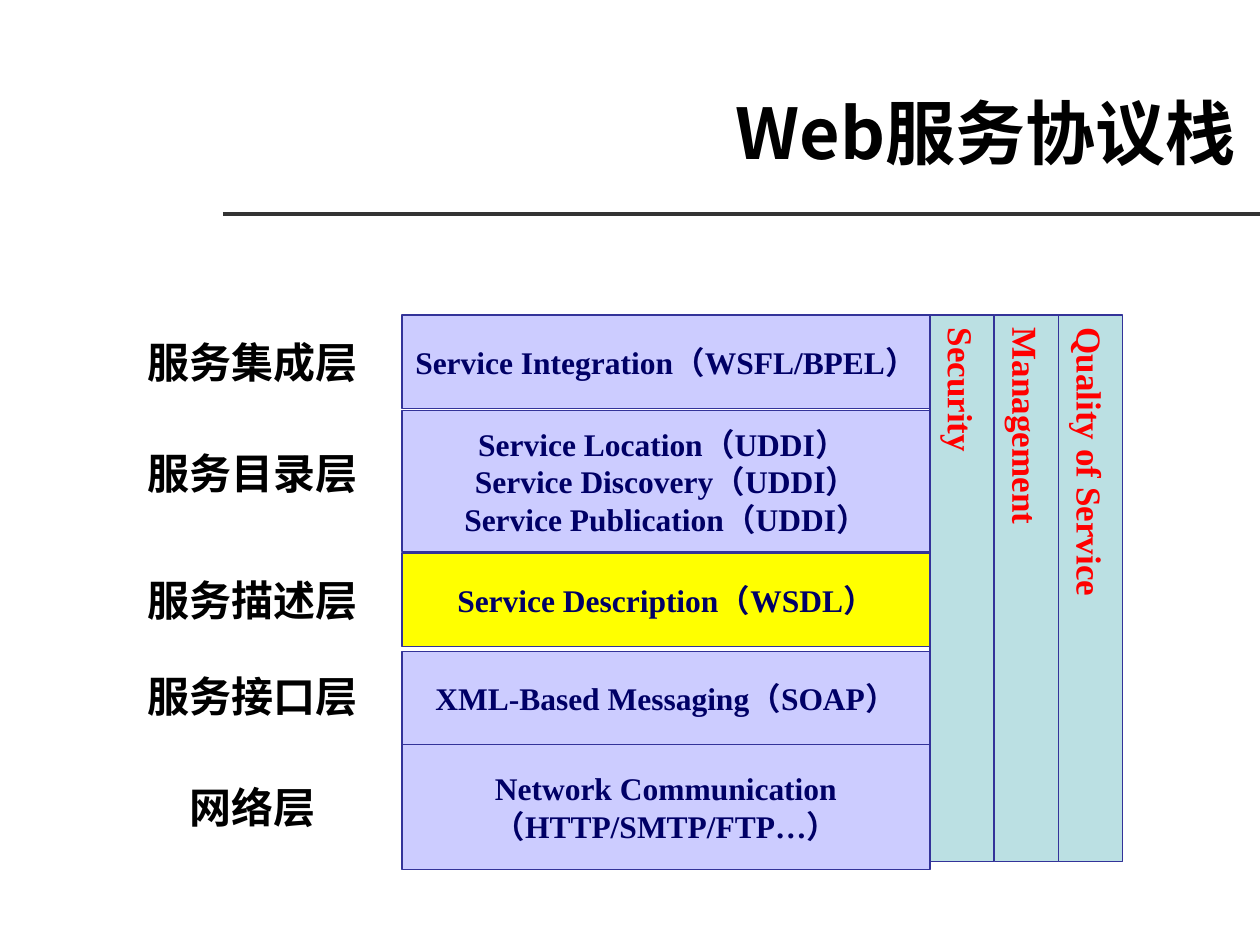
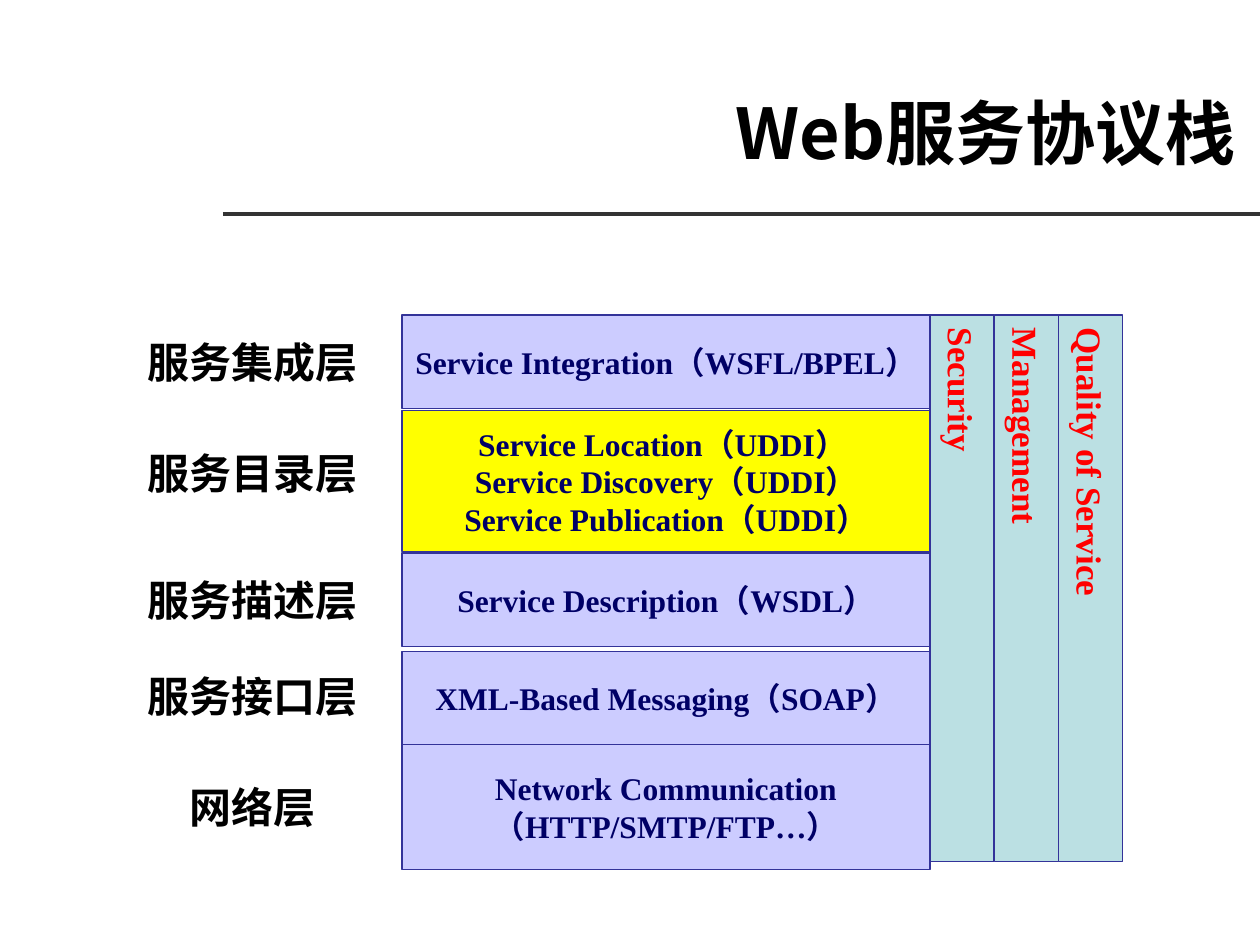
"""Builds two slides of the web service protocol stack, each with one layer highlighted."""
from lxml.etree import SubElement
from pptx import Presentation
from pptx.dml.color import RGBColor
from pptx.enum.shapes import MSO_CONNECTOR, MSO_SHAPE
from pptx.enum.text import MSO_ANCHOR as Anchor, PP_ALIGN as Align
from pptx.oxml.ns import qn
from pptx.util import Pt

EMU_PER_PX = 9144

BLACK = RGBColor(0x00, 0x00, 0x00)
RULE_GREY = RGBColor(0x33, 0x33, 0x33)
NAVY = RGBColor(0x00, 0x00, 0x66)
RED = RGBColor(0xFF, 0x00, 0x00)
BORDER = RGBColor(0x33, 0x33, 0x99)
LAVENDER = RGBColor(0xCC, 0xCC, 0xFF)
YELLOW = RGBColor(0xFF, 0xFF, 0x00)
TEAL = RGBColor(0xBB, 0xE0, 0xE3)

HAN_FONT = "Noto Sans CJK SC"
LATIN_FONT = "Times New Roman"

TITLE = "Web服务协议栈"
STACK_TOP = 250
LABEL_LEFT, LABEL_WIDTH, LABEL_HEIGHT = 83, 235, 74
LAYER_LEFT, LAYER_WIDTH = 319, 419
CONCERN_WIDTH, CONCERN_HEIGHT = 51, 434

LAYERS = [
    ("服务集成层", 250, 250, 74, ["Service Integration（WSFL/BPEL）"]),
    ("服务目录层", 338, 326, 112, ["Service Location（UDDI） ",
                              "Service Discovery（UDDI）",
                              "Service Publication（UDDI）"]),
    ("服务描述层", 439, 439, 74, ["Service Description（WSDL）"]),
    ("服务接口层", 515, 517, 74, ["XML-Based Messaging（SOAP）"]),
    ("网络层", 603, 591, 99, ["Network Communication", "（HTTP/SMTP/FTP…）"]),
]
CONCERNS = ["Security", "Management", "Quality of Service"]
HIGHLIGHTED_LAYERS = ["服务描述层", "服务目录层"]


def px(*lengths):
    return [length * EMU_PER_PX for length in lengths]


def write(frame, lines, size, color=BLACK, font=LATIN_FONT, align=Align.CENTER,
          wrap=False, insets=(10, 5)):
    frame.word_wrap = wrap
    frame.vertical_anchor = Anchor.MIDDLE
    across, down = px(*insets)
    frame.margin_left = frame.margin_right = across
    frame.margin_top = frame.margin_bottom = down
    for index, line in enumerate(lines):
        paragraph = frame.add_paragraph() if index else frame.paragraphs[0]
        paragraph.alignment = align
        run = paragraph.add_run()
        run.text = line
        run.font.size = Pt(size)
        run.font.bold = True
        run.font.color.rgb = color
        run.font.name = font
        SubElement(run.font._element, qn("a:ea"), typeface=HAN_FONT)


class StackDeck:
    def __init__(self):
        self.presentation = Presentation()
        self.presentation.slide_width, self.presentation.slide_height = px(1000, 750)
        self.slide = None

    def new_slide(self):
        self.slide = self.presentation.slides.add_slide(self.presentation.slide_layouts[6])

    def rule(self, left, top, right):
        rule = self.slide.shapes.add_connector(
            MSO_CONNECTOR.STRAIGHT, *px(left, top, right, top))
        rule.line.color.rgb = RULE_GREY
        rule.line.width = Pt(2.25)
        SubElement(rule.element.spPr, qn("a:effectLst"))

    def text(self, bounds, lines, **style):
        write(self.slide.shapes.add_textbox(*px(*bounds)).text_frame, lines, **style)

    def block(self, bounds, lines, fill, vertical=False, **style):
        block = self.slide.shapes.add_shape(MSO_SHAPE.RECTANGLE, *px(*bounds))
        block.shadow.inherit = False
        block.fill.solid()
        block.fill.fore_color.rgb = fill
        block.line.color.rgb = BORDER
        block.line.width = Pt(0.75)
        write(block.text_frame, lines, **style)
        if vertical:
            block.element.txBody.bodyPr.set("vert", "eaVert")

    def stack(self, highlighted):
        self.new_slide()
        self.rule(177, 170, 1000)
        self.text((177, 38, 813, 132), [TITLE], size=40, font=HAN_FONT,
                  align=Align.RIGHT, wrap=True)
        for label, label_top, top, height, services in LAYERS:
            self.text((LABEL_LEFT, label_top, LABEL_WIDTH, LABEL_HEIGHT), [label], size=24)
            self.block((LAYER_LEFT, top, LAYER_WIDTH, height), services,
                       fill=YELLOW if label == highlighted else LAVENDER,
                       size=18, color=NAVY)
        for column, concern in enumerate(CONCERNS):
            left = LAYER_LEFT + LAYER_WIDTH + column * CONCERN_WIDTH
            self.block((left, STACK_TOP, CONCERN_WIDTH, CONCERN_HEIGHT), [concern],
                       fill=TEAL, vertical=True, size=20, color=RED, insets=(5, 10))


def main():
    deck = StackDeck()
    for highlighted in HIGHLIGHTED_LAYERS:
        deck.stack(highlighted)
    deck.presentation.save("out.pptx")


if __name__ == "__main__":
    main()
